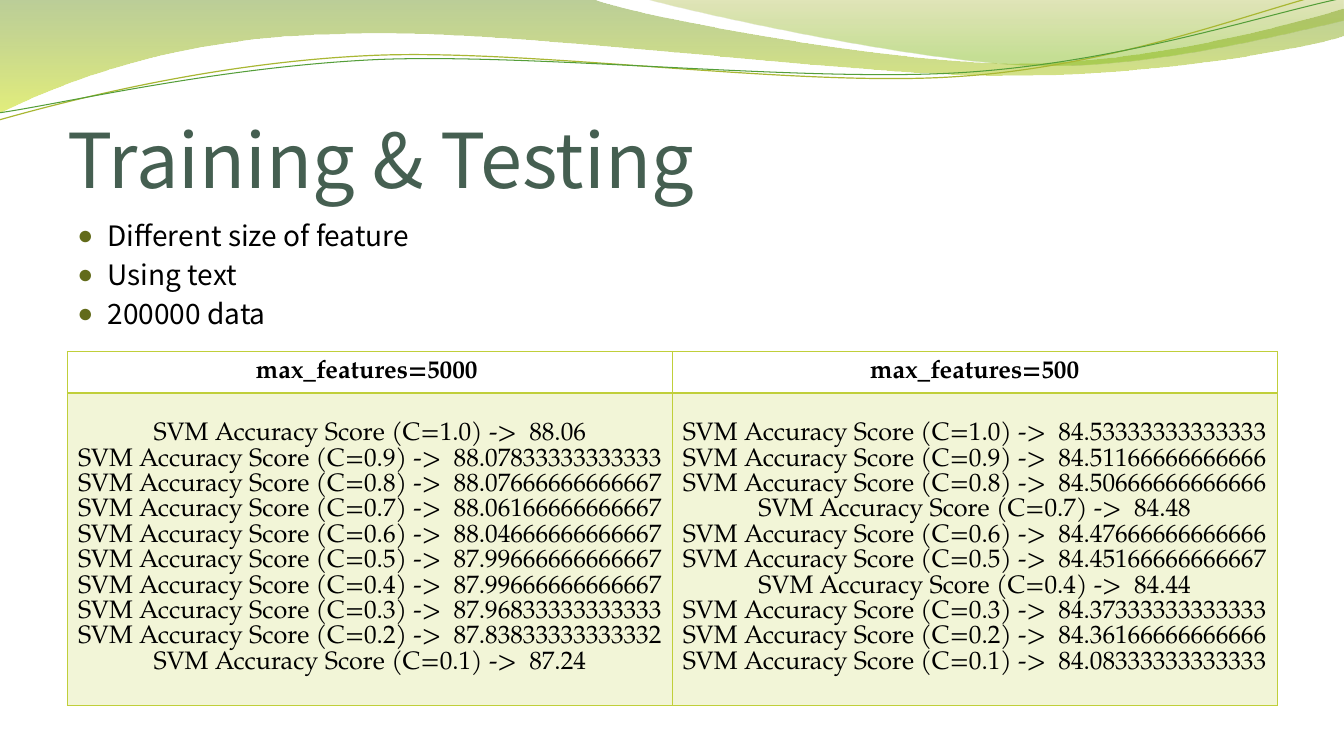
"""Build the training and testing slide."""
from lxml import etree
from pptx import Presentation, util as u
from pptx.dml.color import RGBColor
from pptx.enum import text
from pptx.oxml import parse_xml
from pptx.oxml.ns import nsdecls, qn

BLACK = RGBColor(0x00, 0x00, 0x00)
PINE = RGBColor(0x45, 0x5F, 0x51)
OLIVE = RGBColor(0x62, 0x6B, 0x1A)
LIME = RGBColor(0xC0, 0xCF, 0x3A)
MOSS = RGBColor(0x69, 0x92, 0x1C)
YELLOW = RGBColor(0xCC, 0xE1, 0x0F)
MUSTARD = RGBColor(0x9B, 0xAA, 0x1A)
GRASS = RGBColor(0x81, 0xBA, 0x16)
GOLD_LINE = RGBColor(0xA9, 0xB7, 0x33)
GREEN_LINE = RGBColor(0x54, 0x9E, 0x39)

SANS = "Noto Sans CJK SC"
SERIF = "TeX Gyre Pagella"
PX = 9144

BANDS = [
    ([(-2, 0), (587, -1), (634, 17, 884, 63, 1011, 63), (1137, 63, 1277, 26, 1333, 9),
      (1334, 36), (1311, 44, 1159, 76, 994, 75), (829, 75, 509, 28, 343, 34),
      (172, 36, 61, 83, -2, 113)],
     [(0, MOSS, 45), (1, YELLOW, 55)]),
    ([(638, -1), (679, 11, 909, 62, 1025, 65), (1140, 69, 1282, 32, 1333, 21), (1333, 0)],
     [(0, MUSTARD, 30), (0.8, GRASS, 45)]),
]
STRANDS = [
    ([(-1, 119), (63, 101, 210, 62, 369, 55), (527, 48, 789, 87, 949, 76),
      (1110, 66, 1251, 8, 1330, -10)], GOLD_LINE, 0.85),
    ([(-1, 112), (62, 103, 218, 66, 377, 59), (537, 53, 796, 82, 955, 72),
      (1114, 62, 1255, 14, 1333, -2)], GREEN_LINE, 0.75),
]
TOPICS = ["Different size of feature", "Using text", "200000 data"]
SCORES = {
    "max_features=5000 ": [
        "88.06", "88.07833333333333", "88.07666666666667", "88.06166666666667",
        "88.04666666666667", "87.99666666666667", "87.99666666666667",
        "87.96833333333333", "87.83833333333332", "87.24"],
    "max_features=500": [
        "84.53333333333333", "84.51166666666666", "84.50666666666666", "84.48",
        "84.47666666666666", "84.45166666666667", "84.44",
        "84.37333333333333", "84.36166666666666", "84.08333333333333"],
}


def bend(shape, steps):
    """Turn each six-number step of an outline into one cubic curve."""
    track = shape._element.find(f'.//{qn("a:path")}')
    sides = iter(track.findall(qn("a:lnTo")))
    for step in steps[1:]:
        group = [next(sides) for _ in range(len(step) // 2)]
        if len(group) == 3:
            curve = etree.Element(qn("a:cubicBezTo"))
            group[0].addprevious(curve)
            for side in group:
                curve.append(side[0])
                track.remove(side)


def set_alpha(color_element, percent):
    """Give a colour element an opacity."""
    etree.SubElement(color_element, qn("a:alpha")).set("val", str(percent * 1000))


def write(frame, lines, *, size, font, color=BLACK, bold=False, align=None,
          bullet=None, before=0):
    """Fill a text frame with one formatted paragraph per line."""
    for i, line in enumerate(lines):
        paragraph = frame.paragraphs[0] if i == 0 else frame.add_paragraph()
        paragraph.alignment = align
        paragraph.space_before = u.Pt(before)
        run = paragraph.add_run()
        run.text = line
        run.font.size, run.font.name, run.font.bold = u.Pt(size), font, bold
        run.font.color.rgb = color
        if bullet:
            properties = paragraph._p.get_or_add_pPr()
            properties.set("marL", str(30 * PX))
            properties.set("indent", str(-30 * PX))
            for mark in (f'<a:buClr {nsdecls("a")}><a:srgbClr val="{bullet}"/></a:buClr>',
                         f'<a:buSzPct {nsdecls("a")} val="95000"/>',
                         f'<a:buFont {nsdecls("a")} typeface="Arial"/>',
                         f'<a:buChar {nsdecls("a")} char="●"/>'):
                properties.append(parse_xml(mark))


class Deck:
    """Hold the presentation, its current slide and the drawing style."""

    def __init__(self, height):
        """Start a 16:9 deck with one blank slide."""
        self.show = Presentation()
        self.show.slide_height = height * PX
        self.show.slide_width = height * PX * 16 // 9
        self.slide = self.show.slides.add_slide(self.show.slide_layouts[6])

    def outline(self, steps, close):
        """Draw a curved outline without shadow."""
        points = [(x * PX, y * PX) for step in steps for x, y in zip(step[::2], step[1::2])]
        builder = self.slide.shapes.build_freeform(*points[0])
        builder.add_line_segments(points[1:], close=close)
        shape = builder.convert_to_shape()
        shape.shadow.inherit = False
        bend(shape, steps)
        return shape

    def band(self, steps, stops):
        """Draw a closed wave with a translucent downward gradient."""
        wave = self.outline(steps, True)
        wave.line.fill.background()
        wave.fill.gradient()
        wave.fill.gradient_angle = 270
        for stop, (position, color, alpha) in zip(wave.fill.gradient_stops, stops):
            stop.position = position
            stop.color.rgb = color
            set_alpha(stop._gs.find(qn("a:srgbClr")), alpha)

    def strand(self, steps, color, width):
        """Draw an open wavy line."""
        wave = self.outline(steps, False)
        wave.fill.background()
        wave.line.color.rgb = color
        wave.line.width = u.Pt(width)

    def textbox(self, box, lines, *, insets=(10, 5, 10, 5),
                anchor=text.MSO_ANCHOR.TOP, **style):
        """Add a wrapping text box."""
        frame = self.slide.shapes.add_textbox(*(n * PX for n in box)).text_frame
        frame.word_wrap = True
        frame.vertical_anchor = anchor
        (frame.margin_left, frame.margin_top,
         frame.margin_right, frame.margin_bottom) = (n * PX for n in insets)
        write(frame, lines, **style)

    def cell(self, cell, lines, *, bold=False, tint=None, bottom=1):
        """Fill one bordered table cell."""
        cell.vertical_anchor = text.MSO_ANCHOR.MIDDLE
        write(cell.text_frame, lines, size=18, font=SERIF, bold=bold,
              align=text.PP_ALIGN.CENTER)
        properties = cell._tc.get_or_add_tcPr()
        if tint:
            cell.fill.solid()
            cell.fill.fore_color.rgb = LIME
            set_alpha(properties.find(f'.//{qn("a:srgbClr")}'), tint)
        else:
            cell.fill.background()
        for i, (side, width) in enumerate(zip("LRTB", (1, 1, 1, bottom))):
            properties.insert(i, parse_xml(
                f'<a:ln{side} {nsdecls("a")} w="{u.Pt(width)}"><a:solidFill>'
                f'<a:srgbClr val="{LIME}"/></a:solidFill></a:ln{side}>'))

    def score_table(self, box, row_height, scores):
        """Add one column of scores per feature count, with rows that grow to fit."""
        holder = self.slide.shapes.add_table(2, len(scores), *(n * PX for n in box))
        table = holder.table
        table.first_row = table.horz_banding = False
        for row in table.rows:
            row.height = row_height * PX
        holder.height = box[3] * PX
        for column, (heading, values) in enumerate(scores.items()):
            self.cell(table.cell(0, column), [heading], bold=True, bottom=2)
            self.cell(table.cell(1, column), tint=20, lines=[
                f"SVM Accuracy Score (C={(10 - i) / 10}) ->  {value}"
                for i, value in enumerate(values)])


def main():
    """Compose and save the slide."""
    deck = Deck(750)
    for steps, stops in BANDS:
        deck.band(steps, stops)
    for steps, color, width in STRANDS:
        deck.strand(steps, color, width)
    deck.textbox((67, 77, 1200, 125), ["Training & Testing"], insets=(0, 5, 0, 0),
                 anchor=text.MSO_ANCHOR.BOTTOM, size=54, font=SANS, color=PINE)
    deck.textbox((67, 212, 1200, 480), TOPICS, size=20, font=SANS,
                 bullet=OLIVE, before=3.8)
    deck.score_table((67, 349, 1200, 351), 41, SCORES)
    deck.show.save("out.pptx")


if __name__ == "__main__":
    main()
